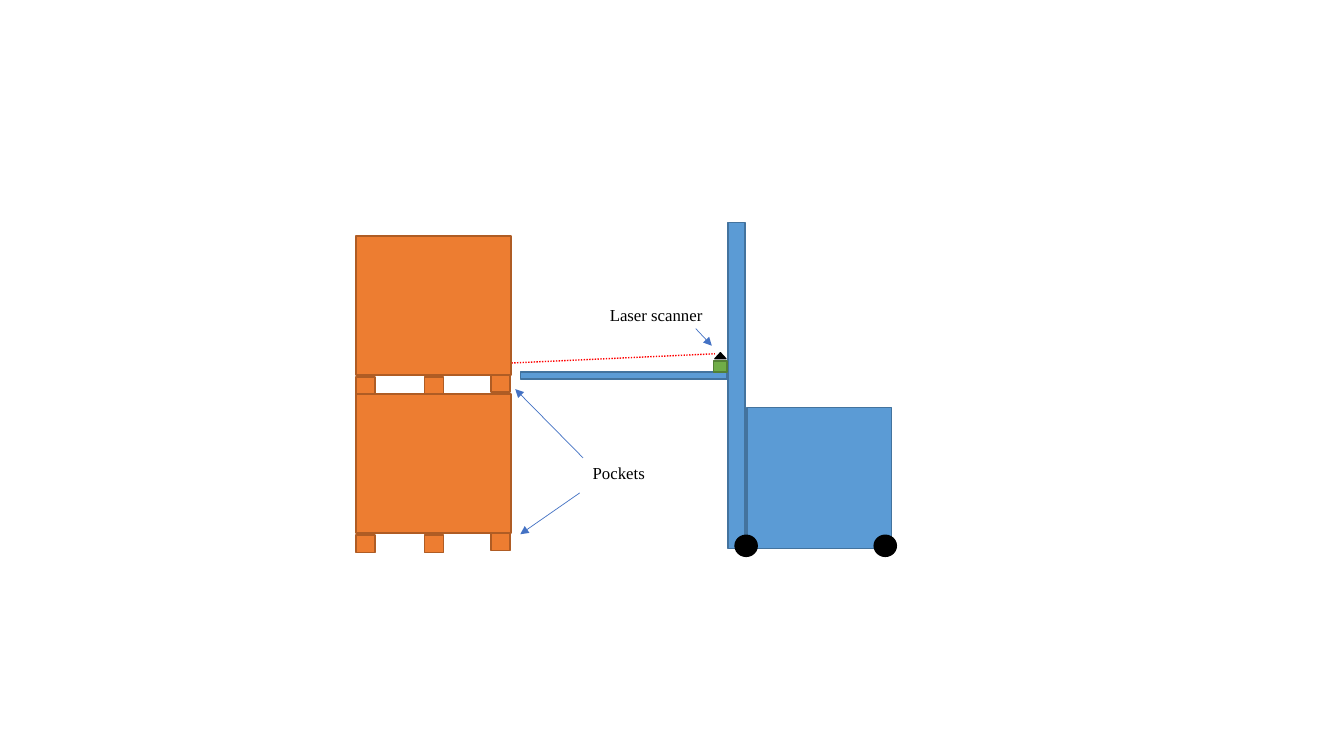
from dataclasses import dataclass

from lxml.etree import SubElement
from pptx import Presentation
from pptx.dml.color import RGBColor
from pptx.enum.dml import MSO_LINE
from pptx.enum.shapes import MSO_CONNECTOR, MSO_SHAPE
from pptx.enum.text import MSO_ANCHOR, PP_ALIGN
from pptx.oxml.ns import qn
from pptx.util import Pt

EMU_PER_PX = 9144  # 100 px to the inch


@dataclass(frozen=True)
class Theme:
    load: tuple = ("ED7D31", "AF5C24")
    truck: tuple = ("5B9BD5", "43739E")
    scanner: tuple = ("70AD47", "538035")
    black: tuple = ("000000", "000000")
    beam: str = "FF0000"
    arrow: str = "4472C4"
    label_fill: str = "FFFFFF"
    text: str = "000000"
    font: str = "Times New Roman"
    text_size: int = 12
    outline_width: float = 1
    arrow_width: float = 0.5


def px(*lengths):
    return [length * EMU_PER_PX for length in lengths]


def write_text(frame, text, *, font, size, color, space_after=6):
    paragraph = frame.paragraphs[0]
    paragraph.alignment = PP_ALIGN.LEFT
    paragraph.space_after = Pt(space_after)
    run = paragraph.add_run()
    run.text = text
    run.font.name = font
    run.font.size = Pt(size)
    run.font.color.rgb = RGBColor.from_string(color)


class Diagram:
    def __init__(self, slide, theme):
        self.slide = slide
        self.theme = theme

    def block(self, colors, left, top, width, height, kind=MSO_SHAPE.RECTANGLE):
        fill, outline = colors
        shape = self.slide.shapes.add_shape(kind, *px(left, top, width, height))
        shape.shadow.inherit = False
        shape.fill.solid()
        shape.fill.fore_color.rgb = RGBColor.from_string(fill)
        shape.line.color.rgb = RGBColor.from_string(outline)
        shape.line.width = Pt(self.theme.outline_width)

    def line(self, start, end, color, width):
        connector = self.slide.shapes.add_connector(
            MSO_CONNECTOR.STRAIGHT, *px(*start, *end))
        connector.line.color.rgb = RGBColor.from_string(color)
        connector.line.width = Pt(width)
        SubElement(connector._element.spPr, qn("a:effectLst"))
        return connector

    def beam(self, start, end):
        connector = self.line(start, end, self.theme.beam, self.theme.outline_width)
        connector.line.dash_style = MSO_LINE.ROUND_DOT

    def arrow(self, start, end):
        connector = self.line(start, end, self.theme.arrow, self.theme.arrow_width)
        SubElement(connector.line._get_or_add_ln(), qn("a:tailEnd"), type="triangle")

    def label(self, text, left, top, width, height):
        box = self.slide.shapes.add_textbox(*px(left, top, width, height))
        box.fill.solid()
        box.fill.fore_color.rgb = RGBColor.from_string(self.theme.label_fill)
        box.text_frame.word_wrap = False
        box.text_frame.vertical_anchor = MSO_ANCHOR.TOP
        write_text(box.text_frame, text, font=self.theme.font,
                   size=self.theme.text_size, color=self.theme.text)

    def loaded_pallet(self, left, top):
        """Draw a load standing on three pallet feet."""
        self.block(self.theme.load, left, top, 154, 138)
        for across, down in ((0, 140), (134, 138), (68, 140)):
            self.block(self.theme.load, left + across, top + down, 19, 17)

    def forklift(self):
        theme = self.theme
        fork, mast, body = (516, 369, 205, 7), (722, 221, 17, 323), (741, 404, 143, 140)
        for part in (fork, mast, body):
            self.block(theme.truck, *part)
        for wheel_left in (729, 867):
            self.block(theme.black, wheel_left, 531, 22, 21, MSO_SHAPE.OVAL)
        self.block(theme.scanner, 708, 358, 13, 11)
        self.block(theme.black, 709, 350, 11, 6, MSO_SHAPE.ISOSCELES_TRIANGLE)


def main():
    presentation = Presentation()
    presentation.slide_width, presentation.slide_height = px(1333, 750)
    slide = presentation.slides.add_slide(presentation.slide_layouts[6])
    diagram = Diagram(slide, Theme())

    pallet_left, lower_top, stack_step = 353, 391, 157
    diagram.loaded_pallet(pallet_left, lower_top)
    diagram.forklift()
    diagram.beam((488, 361), (709, 351))
    diagram.label("Laser scanner", 595, 297, 113, 31)
    diagram.arrow((690, 326), (706, 343))
    diagram.loaded_pallet(pallet_left, lower_top - stack_step)
    diagram.arrow((581, 457), (511, 386))
    diagram.label("Pockets", 578, 454, 73, 37)
    diagram.arrow((575, 489), (516, 530))

    presentation.save("out.pptx")


if __name__ == "__main__":
    main()
